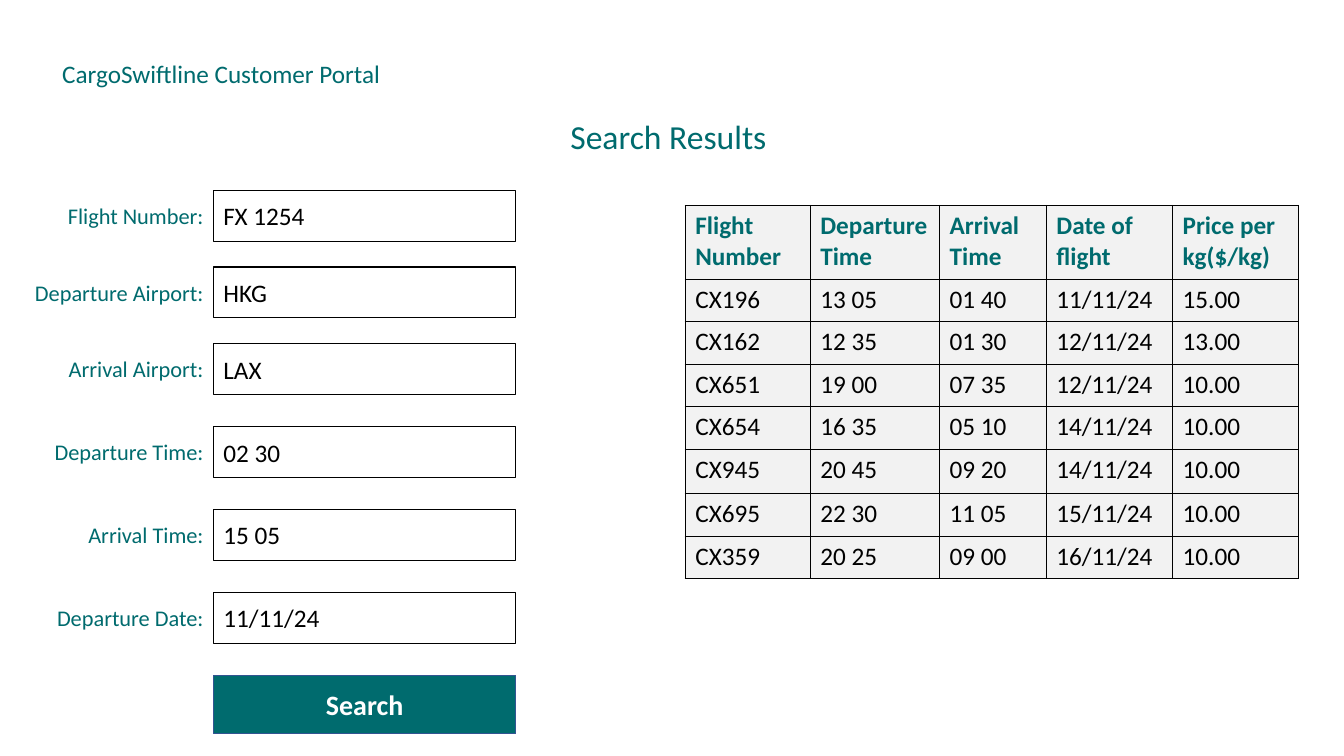
from lxml import etree
from pptx import Presentation
from pptx.dml.color import RGBColor
from pptx.enum.shapes import MSO_SHAPE
from pptx.enum.text import MSO_ANCHOR, MSO_AUTO_SIZE, PP_ALIGN
from pptx.oxml.ns import qn
from pptx.util import Cm, Pt

LEFT, CENTER, RIGHT = PP_ALIGN.LEFT, PP_ALIGN.CENTER, PP_ALIGN.RIGHT
TOP, MIDDLE = MSO_ANCHOR.TOP, MSO_ANCHOR.MIDDLE
RECTANGLE = MSO_SHAPE.RECTANGLE
NO_AUTOFIT = MSO_AUTO_SIZE.NONE
TITLE_ONLY = 5

FONT = "Calibri"
TEAL, BLACK, WHITE = "006B6E", "000000", "FFFFFF"
PALE_GREY, BUTTON_EDGE = "F2F2F2", "325491"

FIELDS = [
    ("Flight Number:", "FX 1254"),
    ("Departure Airport:", "HKG"),
    ("Arrival Airport:", "LAX"),
    ("Departure Time:", "02 30"),
    ("Arrival Time:", "15 05"),
    ("Departure Date:", "11/11/24"),
]
FLIGHTS = [
    ("Flight Number", "Departure\nTime", "Arrival Time", "Date of flight", "Price per kg($/kg)"),
    ("CX196", "13 05", "01 40", "11/11/24", "15.00"),
    ("CX162", "12 35", "01 30", "12/11/24", "13.00"),
    ("CX651", "19 00", "07 35", "12/11/24", "10.00"),
    ("CX654", "16 35", "05 10", "14/11/24", "10.00"),
    ("CX945", "20 45", "09 20", "14/11/24", "10.00"),
    ("CX695", "22 30", "11 05", "15/11/24", "10.00"),
    ("CX359", "20 25", "09 00", "16/11/24", "10.00"),
]
COLUMN_WIDTHS = [3.15, 3.26, 2.69, 3.18, 3.18]
ROW_HEIGHTS = [1.86, 1.07, 1.07, 1.07, 1.07, 1.12, 1.07, 1.07]


def color(hex_string):
    return RGBColor.from_string(hex_string)


def write(frame, text, size, text_color, align=LEFT, bold=False):
    for index, line in enumerate(text.split("\n")):
        paragraph = frame.add_paragraph() if index else frame.paragraphs[0]
        paragraph.alignment = align
        run = paragraph.add_run()
        run.text = line
        run.font.name = FONT
        run.font.size = Pt(size)
        run.font.bold = bold
        run.font.color.rgb = color(text_color)


def add_label(shapes, left, top, width, height, text, size, align):
    label = shapes.add_textbox(Cm(left), Cm(top), Cm(width), Cm(height))
    label.text_frame.word_wrap = True
    write(label.text_frame, text, size, TEAL, align)


def add_box(shapes, left, top, width, height, fill, line):
    box = shapes.add_shape(RECTANGLE, Cm(left), Cm(top), Cm(width), Cm(height))
    box.shadow.inherit = False
    box.fill.solid()
    box.fill.fore_color.rgb = color(fill)
    box.line.color.rgb = color(line)
    box.line.width = Pt(1)
    box.text_frame.vertical_anchor = MIDDLE
    return box


def add_heading(slide, left, top, width):
    # Portal name
    add_label(slide.shapes, left, top, 8.81, 1.02, "CargoSwiftline Customer Portal", 18, CENTER)

    # Page title, centred in the heading area
    title = slide.shapes.title
    title_width = 5.7
    title.left, title.top = Cm(left + (width - title_width) / 2), Cm(top + 1.45)
    title.width, title.height = Cm(title_width), Cm(1.27)
    title.text_frame.auto_size = NO_AUTOFIT
    title.text_frame.vertical_anchor = TOP
    write(title.text_frame, "Search Results", 24, TEAL, CENTER)


def add_search_form(slide, left, top, label_width, field_width):
    field_left = left + label_width
    field_height = 1.28
    airport_pitch, schedule_pitch = 1.93, 2.09

    # Labelled fields: airport rows sit closer together than schedule rows
    row_top = top
    for index, (name, value) in enumerate(FIELDS):
        group = slide.shapes.add_group_shape()
        add_label(group.shapes, left, row_top + 0.17, label_width, 0.94, name, 16, RIGHT)
        field = add_box(group.shapes, field_left, row_top, field_width, field_height, WHITE, BLACK)
        write(field.text_frame, value, 18, BLACK)
        row_top += airport_pitch if index < 2 else schedule_pitch

    # Search button in the next slot
    button = add_box(slide.shapes, field_left, row_top, field_width, 1.47, TEAL, BUTTON_EDGE)
    write(button.text_frame, "Search", 20, WHITE, CENTER, bold=True)


def add_borders(cell):
    properties = cell._tc.get_or_add_tcPr()
    for position, side in enumerate(("a:lnL", "a:lnR", "a:lnT", "a:lnB")):
        border = etree.Element(qn(side), w=str(Pt(1)))
        fill = etree.SubElement(border, qn("a:solidFill"))
        etree.SubElement(fill, qn("a:srgbClr"), val=BLACK)
        properties.insert(position, border)


def add_results_table(slide, left, top):
    frame = slide.shapes.add_table(
        len(FLIGHTS), len(COLUMN_WIDTHS), Cm(left), Cm(top),
        Cm(sum(COLUMN_WIDTHS)), Cm(sum(ROW_HEIGHTS)))
    table = frame.table
    for column, width in zip(table.columns, COLUMN_WIDTHS):
        column.width = Cm(width)
    for row, height in zip(table.rows, ROW_HEIGHTS):
        row.height = Cm(height)

    # Header row in bold teal, flights in black
    for row_index, values in enumerate(FLIGHTS):
        header = row_index == 0
        for column_index, value in enumerate(values):
            cell = table.cell(row_index, column_index)
            cell.fill.solid()
            cell.fill.fore_color.rgb = color(PALE_GREY)
            add_borders(cell)
            write(cell.text_frame, value, 18, TEAL if header else BLACK, bold=header)


def main():
    presentation = Presentation()
    presentation.slide_width = Cm(33.87)
    presentation.slide_height = Cm(19.05)
    slide = presentation.slides.add_slide(presentation.slide_layouts[TITLE_ONLY])
    add_heading(slide, left=1.17, top=1.35, width=31.35)
    add_results_table(slide, left=17.27, top=5.18)
    add_search_form(slide, left=0, top=4.8, label_width=5.38, field_width=7.62)
    presentation.save("out.pptx")


if __name__ == "__main__":
    main()
